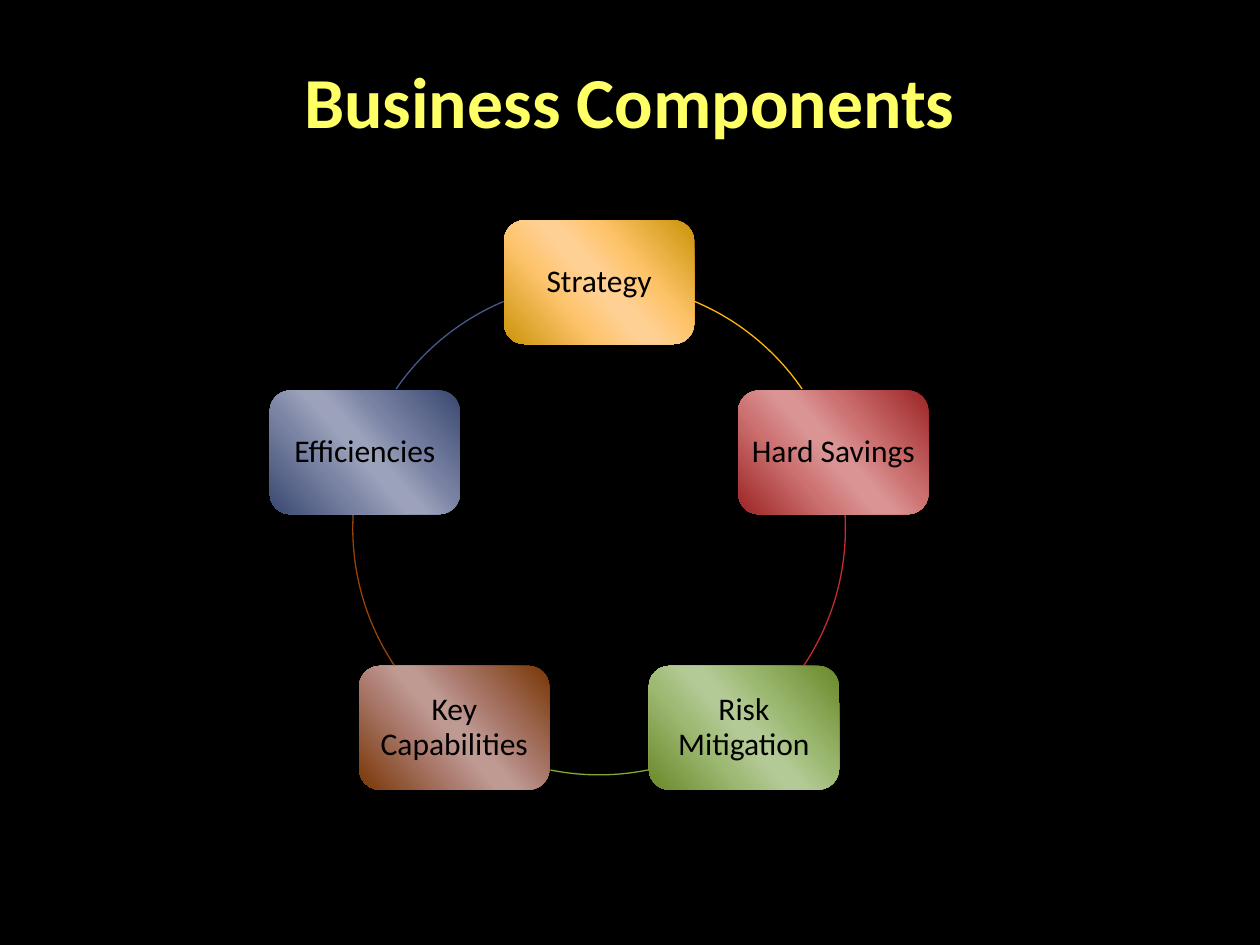
import math
from dataclasses import dataclass

from lxml import etree
from pptx import Presentation
from pptx.dml.color import RGBColor
from pptx.enum import shapes, text
from pptx.oxml import ns
from pptx.util import Inches, Pt

WIDTH, HEIGHT = 10, 7.5
CENTER_X, CENTER_Y = 0.4755 * WIDTH, 0.5593 * HEIGHT
RADIUS = 0.1955 * WIDTH
NODE_WIDTH, NODE_HEIGHT = 0.151 * WIDTH, 0.131 * HEIGHT
STOPS = (0, 33, 47, 53, 68, 100)
GRADIENT_ANGLE = 139


@dataclass
class Component:
    label: str
    edge: str
    inner: str
    middle: str
    outer: str
    line: str
    arc_start: float
    arc_end: float


COMPONENTS = [
    Component("Strategy", "CB9308", "FEC46B", "FFD094", "FEC46D", "FEB80A", 292.8, 325.5),
    Component("Hard Savings", "9C2425", "CC7070", "DA9494", "CD7272", "C32D2E", 356.9, 33.7),
    Component("Risk Mitigation", "6A8829", "9CB972", "B4CA96", "9DB973", "84AA33", 78.6, 101.4),
    Component("Key Capabilities", "783604", "A9786B", "BF9A93", "AA796C", "964305", 146.3, 183.1),
    Component("Efficiencies", "394871", "7982A3", "9BA2BA", "7B84A4", "475A8D", 214.5, 247.2),
]


def color(value: str) -> RGBColor:
    return RGBColor.from_string(value)


def write(box, words: str, font: dict, spacing: float, inset: float) -> None:
    frame = box.text_frame
    frame_format = {
        "word_wrap": True,
        "vertical_anchor": text.MSO_ANCHOR.MIDDLE,
        "margin_left": Inches(inset),
        "margin_right": Inches(inset),
    }
    for name, value in frame_format.items():
        setattr(frame, name, value)
    para = frame.paragraphs[0]
    para.alignment = text.PP_ALIGN.CENTER
    para.line_spacing = spacing
    span = para.add_run()
    span.text = words
    for name, value in font.items():
        if name == "color":
            span.font.color.rgb = color(value)
        else:
            setattr(span.font, name, value)


def add_title(page, words: str) -> None:
    box = page.shapes.add_textbox(Inches(0.05 * WIDTH), Inches(HEIGHT / 30),
                                  Inches(0.9 * WIDTH), Inches(0.144 * HEIGHT))
    font = {"name": "Calibri", "size": Pt(41), "bold": True, "color": "FFFF66"}
    write(box, words, font, 1.0, 0.1)


def fill_gradient(box, component: Component) -> None:
    box.fill.gradient()
    box.fill.gradient_angle = 360 - GRADIENT_ANGLE
    stops = box._element.spPr.find(ns.qn("a:gradFill")).find(ns.qn("a:gsLst"))
    for stop in list(stops):
        stops.remove(stop)
    tones = (component.edge, component.inner, component.middle,
             component.middle, component.outer, component.edge)
    for position, tone in zip(STOPS, tones):
        stop = etree.SubElement(stops, ns.qn("a:gs"), pos=str(position * 1000))
        etree.SubElement(stop, ns.qn("a:srgbClr"), val=tone)


def add_node(page, component: Component, angle: float) -> None:
    left = CENTER_X + RADIUS * math.cos(angle) - NODE_WIDTH / 2
    top = CENTER_Y + RADIUS * math.sin(angle) - NODE_HEIGHT / 2
    box = page.shapes.add_shape(shapes.MSO_SHAPE.ROUNDED_RECTANGLE, Inches(left), Inches(top),
                                Inches(NODE_WIDTH), Inches(NODE_HEIGHT))
    box.shadow.inherit = False
    box.line.fill.background()
    fill_gradient(box, component)
    font = {"name": "Calibri", "size": Pt(18), "color": "000000"}
    write(box, component.label, font, 0.9, 0.02)


def add_arc(page, component: Component) -> None:
    arc = page.shapes.add_shape(shapes.MSO_SHAPE.ARC, Inches(CENTER_X - RADIUS),
                                Inches(CENTER_Y - RADIUS), Inches(2 * RADIUS), Inches(2 * RADIUS))
    arc.shadow.inherit = False
    arc.fill.background()
    arc.line.color.rgb = color(component.line)
    arc.line.width = Pt(0.75)
    for index, degrees in enumerate((component.arc_start, component.arc_end)):
        arc.adjustments[index] = degrees * 0.6


def main() -> None:
    deck = Presentation()
    deck.slide_width, deck.slide_height = Inches(WIDTH), Inches(HEIGHT)
    page = deck.slides.add_slide(deck.slide_layouts[6])
    page.background.fill.solid()
    page.background.fill.fore_color.rgb = color("000000")
    add_title(page, "Business Components")
    for index, component in enumerate(COMPONENTS):
        add_node(page, component, math.tau * index / len(COMPONENTS) - math.pi / 2)
        add_arc(page, component)
    deck.save("out.pptx")


if __name__ == "__main__":
    main()
